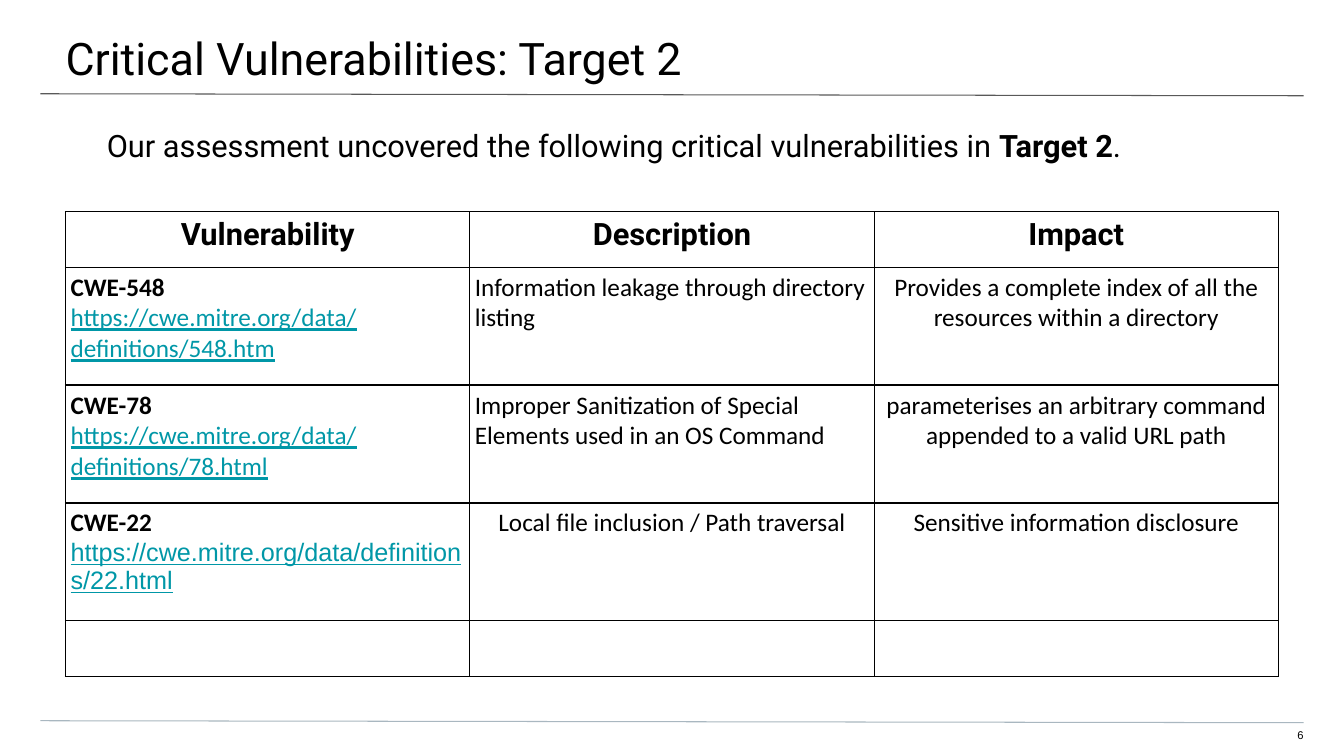
from dataclasses import dataclass

from lxml.etree import SubElement
from pptx import Presentation
from pptx.dml.color import RGBColor
from pptx.enum.shapes import MSO_CONNECTOR
from pptx.enum.text import MSO_ANCHOR, MSO_AUTO_SIZE, PP_ALIGN
from pptx.oxml.ns import qn
from pptx.util import Inches, Pt


@dataclass(frozen=True)
class Theme:
    ink: str = "000000"
    link: str = "0097A7"
    top_rule: str = "595959"
    bottom_rule: str = "A9B7C0"
    heading_font: str = "Roboto"
    cell_font: str = "Calibri"
    plain_font: str = "Arial"
    title_size: int = 32
    lead_size: int = 22
    cell_size: int = 18
    number_size: int = 8


theme = Theme()


def add_run(paragraph, text, font, size, color=theme.ink, bold=False, underline=False):
    run = paragraph.add_run()
    run.text = text
    run.font.name = font
    run.font.size = Pt(size)
    run.font.color.rgb = RGBColor.from_string(color)
    run.font.bold = bold
    run.font.underline = underline


def prepare_frame(shape, box, insets, alignment):
    shape.left, shape.top, shape.width, shape.height = [Inches(length) for length in box]
    frame = shape.text_frame
    frame.word_wrap = True
    frame.auto_size = MSO_AUTO_SIZE.NONE
    frame.vertical_anchor = MSO_ANCHOR.TOP
    frame.margin_left, frame.margin_top, frame.margin_right, frame.margin_bottom = [
        Inches(length) for length in insets
    ]
    paragraph = frame.paragraphs[0]
    paragraph.alignment = alignment
    paragraph.space_before = Pt(0)
    paragraph.line_spacing = 1.0
    return paragraph


presentation = Presentation()
presentation.slide_width = Inches(13.33)
presentation.slide_height = Inches(7.5)
slide = presentation.slides.add_slide(presentation.slide_layouts[1])

for rule_top, rule_color in ((0.93, theme.top_rule), (7.15, theme.bottom_rule)):
    rule = slide.shapes.add_connector(
        MSO_CONNECTOR.STRAIGHT,
        Inches(0.4), Inches(rule_top), Inches(12.93), Inches(rule_top + 0.02),
    )
    rule.line.color.rgb = RGBColor.from_string(rule_color)
    rule.line.width = Pt(0.75)
    SubElement(rule._element.spPr, qn("a:effectLst"))

title = prepare_frame(
    slide.shapes.title, (-0.02, 0, 13.37, 0.78), (0.67, 0.3, 0.4, 0.13), PP_ALIGN.LEFT
)
add_run(title, "Critical Vulnerabilities: Target 2", theme.heading_font, theme.title_size)

lead = prepare_frame(
    slide.placeholders[1], (0.39, 1.26, 12.55, 5.4), (0.67, 0, 0.67, 1.33), PP_ALIGN.LEFT
)
lead_properties = lead._p.get_or_add_pPr()
lead_properties.set("marL", "0")
lead_properties.set("indent", "0")
SubElement(lead_properties, qn("a:buNone"))
for text, bold in (
    ("Our assessment uncovered the following critical vulnerabilities in ", False),
    ("Target 2", True),
    (".", False),
):
    add_run(lead, text, theme.heading_font, theme.lead_size, bold=bold)

number_box = slide.shapes.add_textbox(0, 0, 0, 0)
number = prepare_frame(
    number_box, (12.55, 7.23, 0.38, 0.15), (0, 0, 0, 0.13), PP_ALIGN.RIGHT
)
add_run(number, "6", theme.plain_font, theme.number_size)

headings = ("Vulnerability", "Description", "Impact")
findings = (
    ("CWE-548", "https://cwe.mitre.org/data/definitions/548.htm",
     "Information leakage through directory listing",
     "Provides a complete index of all the resources within a directory"),
    ("CWE-78", "https://cwe.mitre.org/data/definitions/78.html",
     "Improper Sanitization of Special Elements used in an OS Command",
     "parameterises an arbitrary command appended to a valid URL path"),
    ("CWE-22 ", "https://cwe.mitre.org/data/definitions/22.html",
     "Local file inclusion / Path traversal",
     "Sensitive information disclosure"),
)
row_heights = (0.55, 1.17, 1.17, 1.17, 0.55)
table = slide.shapes.add_table(
    len(row_heights), len(headings),
    Inches(0.65), Inches(2.1), Inches(12.03), Inches(sum(row_heights)),
).table
table.first_row = False
table.horz_banding = False
for column in table.columns:
    column.width = Inches(4.01)
for row, height in zip(table.rows, row_heights):
    row.height = Inches(height)

for cell in table.iter_cells():
    cell.margin_left = cell.margin_top = cell.margin_right = cell.margin_bottom = Inches(0.05)
    cell_properties = cell._tc.get_or_add_tcPr()
    for side in ("a:lnL", "a:lnR", "a:lnT", "a:lnB"):
        border = SubElement(cell_properties, qn(side), w=str(Pt(1)))
        border_fill = SubElement(border, qn("a:solidFill"))
        SubElement(border_fill, qn("a:srgbClr"), val=theme.ink)
    cell.fill.background()

for column_index, heading in enumerate(headings):
    paragraph = table.cell(0, column_index).text_frame.paragraphs[0]
    paragraph.alignment = PP_ALIGN.CENTER
    add_run(paragraph, heading, theme.heading_font, theme.lead_size, bold=True)

for row_index, (code, address, description, impact) in enumerate(findings, 1):
    last = row_index == len(findings)
    code_frame = table.cell(row_index, 0).text_frame
    code_paragraph = code_frame.paragraphs[0]
    add_run(code_paragraph, code, theme.cell_font, theme.cell_size, bold=True)
    address_paragraph = code_paragraph if last else code_frame.add_paragraph()
    address_font = theme.plain_font if last else theme.cell_font
    add_run(address_paragraph, address, address_font, theme.cell_size, theme.link, underline=True)

    description_alignment = PP_ALIGN.CENTER if last else PP_ALIGN.LEFT
    for column_index, text, alignment in (
        (1, description, description_alignment),
        (2, impact, PP_ALIGN.CENTER),
    ):
        paragraph = table.cell(row_index, column_index).text_frame.paragraphs[0]
        paragraph.alignment = alignment
        add_run(paragraph, text, theme.cell_font, theme.cell_size)

presentation.save("out.pptx")
